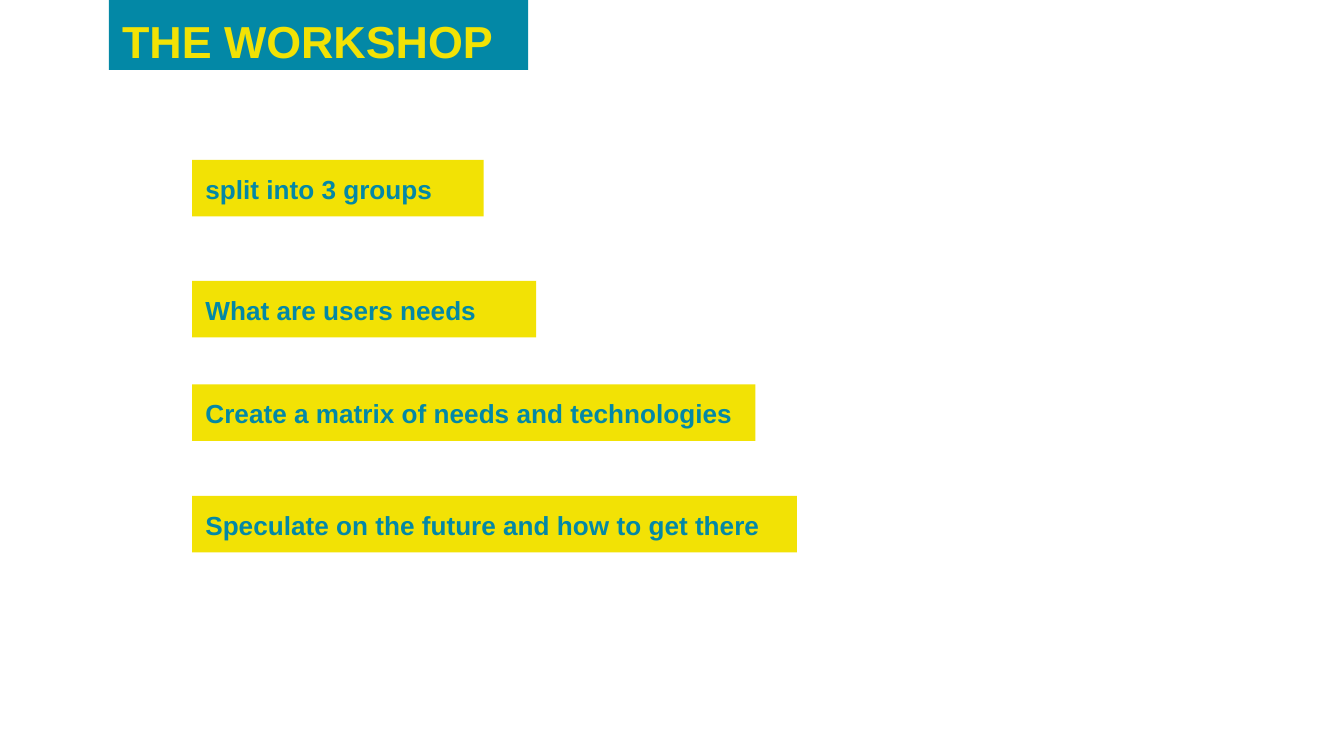
"""Build the workshop agenda slide: a title banner and four highlighted steps."""
from pptx import Presentation
from pptx.dml.color import RGBColor
from pptx.enum.shapes import MSO_SHAPE as Preset
from pptx.enum.text import MSO_ANCHOR as Anchor, PP_ALIGN as Align
from pptx.util import Inches, Pt

TEAL, YELLOW = "0388A6", "F2E205"
COLUMN = ROW = Inches(0.1)


def paint(color_format, color):
    color_format.rgb = RGBColor.from_string(color)


def add_banner(slide, wording, left, top, width, height, size, back, ink):
    banner = slide.shapes.add_shape(
        Preset.RECTANGLE, round(left * COLUMN), round(top * ROW),
        round(width * COLUMN), round(height * ROW))
    banner.shadow.inherit = False
    banner.fill.solid()
    paint(banner.fill.fore_color, back)
    banner.line.fill.background()
    frame = banner.text_frame
    frame.word_wrap = True
    frame.vertical_anchor = Anchor.TOP
    frame.margin_left = frame.margin_right = COLUMN
    frame.margin_top, frame.margin_bottom = ROW, 0
    paragraph = frame.paragraphs[0]
    paragraph.text = wording
    paragraph.alignment = Align.LEFT
    paragraph.font.name = "Arial"
    paragraph.font.size = Pt(size)
    paragraph.font.bold = True
    paint(paragraph.font.color, ink)


deck = Presentation()
deck.slide_width = 100 * COLUMN
deck.slide_height = round(56.25 * ROW)
workshop = deck.slides.add_slide(deck.slide_layouts[6])

add_banner(workshop, "THE WORKSHOP", 8.1, 0, 31.2, 5.2, 24, TEAL, YELLOW)

steps = [
    ("split into 3 groups", 11.9, 21.7),
    ("What are users needs", 20.9, 25.6),
    ("Create a matrix of needs and technologies", 28.6, 41.9),
    ("Speculate on the future and how to get there", 36.9, 45),
]
for step, top, width in steps:
    add_banner(workshop, step, 14.3, top, width, 4.2, 14, YELLOW, TEAL)

deck.save("out.pptx")
